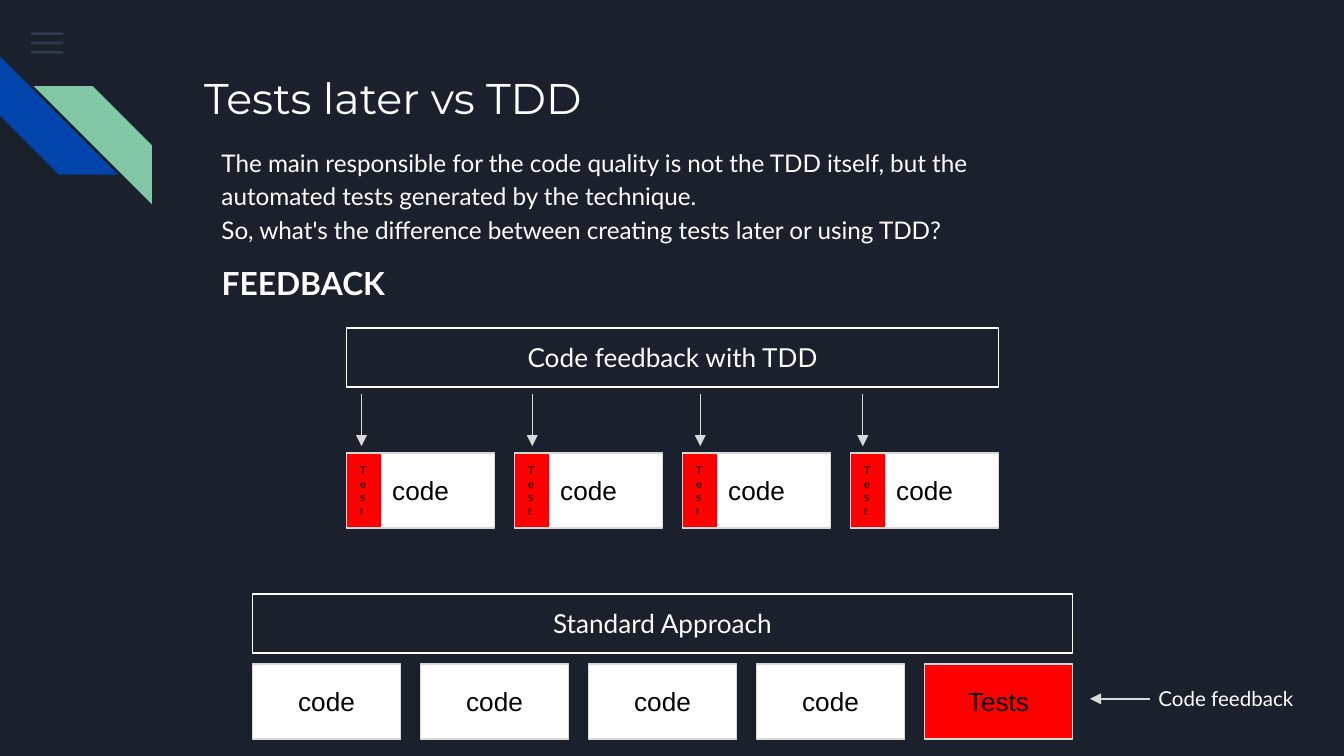
from lxml.etree import SubElement
from pptx import Presentation
from pptx.dml.color import RGBColor
from pptx.enum.shapes import MSO_CONNECTOR, MSO_SHAPE
from pptx.enum.text import MSO_ANCHOR, PP_ALIGN
from pptx.oxml.ns import qn
from pptx.util import Inches, Pt


class Theme:
    back = RGBColor.from_string("1B212C")
    white = RGBColor.from_string("FFFFFF")
    black = RGBColor.from_string("000000")
    red = RGBColor.from_string("FF0000")
    gray = RGBColor.from_string("D9D9D9")
    slate = RGBColor.from_string("55688B")
    blue = RGBColor.from_string("0145AC")
    green = RGBColor.from_string("82C7A5")
    title, head, label, body, note, tiny = map(Pt, (23, 17, 14, 13, 11, 6))
    edge = Pt(0.75)


deck = Presentation()
deck.slide_width = Inches(10)
deck.slide_height = Inches(10) * 9 // 16
slide = deck.slides.add_slide(deck.slide_layouts[6])
slide.background.fill.solid()
slide.background.fill.fore_color.rgb = Theme.back
shapes = slide.shapes


def box(area, fill=None, line=None, text="", size=Theme.label, font="Lato",
        color=Theme.white, align=PP_ALIGN.LEFT, anchor=MSO_ANCHOR.TOP,
        bold=False, space=1, kind=MSO_SHAPE.RECTANGLE):
    area = [Inches(n) for n in area]
    if fill or line:
        item = shapes.add_shape(kind, *area)
        item.shadow.inherit = False
        if fill:
            item.fill.solid()
            item.fill.fore_color.rgb = fill
        else:
            item.fill.background()
        if line:
            item.line.color.rgb = line
            item.line.width = Theme.edge
        else:
            item.line.fill.background()
    else:
        item = shapes.add_textbox(*area)
    if text:
        frame = item.text_frame
        frame.word_wrap = True
        frame.vertical_anchor = anchor
        frame.margin_left = frame.margin_right = Inches(0.1)
        frame.margin_top = frame.margin_bottom = Inches(0.1)
        frame.text = text
        para = frame.paragraphs[0]
        para.alignment = align
        para.line_spacing = space
        para.font.name = font
        para.font.size = size
        para.font.bold = bold
        para.font.color.rgb = color
    return item


def arrow(*ends):
    item = shapes.add_connector(MSO_CONNECTOR.STRAIGHT, *[Inches(n) for n in ends])
    item.line.color.rgb = Theme.gray
    item.line.width = Theme.edge
    SubElement(item.line._get_or_add_ln(), qn("a:tailEnd"), type="triangle")
    SubElement(item._element.spPr, qn("a:effectLst"))


for row in range(3):
    bar = box((0.23, 0.24 + 0.07 * row, 0.24, 0.02), Theme.slate)
    tint = bar._element.spPr.find(qn("a:solidFill"))[0]
    SubElement(tint, qn("a:alpha"), val="36000")

stripe = box((0, 0.42, 0.88, 0.88), Theme.blue, kind=MSO_SHAPE.DIAGONAL_STRIPE)
stripe.rotation = 270
stripe = box((0.25, 0.64, 0.88, 0.88), Theme.green, kind=MSO_SHAPE.DIAGONAL_STRIPE)
stripe._element.spPr.xfrm.set("flipH", "1")

box((1.42, 0.43, 7.86, 1), text="Tests later vs TDD",
    size=Theme.title, font="Montserrat")
box((1.55, 0.97, 6.43, 0.88), size=Theme.body, space=1.15,
    text="The main responsible for the code quality is not the TDD itself, "
         "but the automated tests generated by the technique. \v"
         "So, what's the difference between creating tests later or using TDD?")
box((1.55, 1.82, 4.41, 0.49), text="FEEDBACK", size=Theme.head,
    bold=True, space=1.15)

step, wide, high = 1.25, 1.1, 0.56
block = dict(line=Theme.gray, font="Arial", color=Theme.black,
             anchor=MSO_ANCHOR.MIDDLE)
center = PP_ALIGN.CENTER

box((2.58, 2.44, 4.85, 0.44), line=Theme.white,
    text="Code feedback with TDD", align=center)
for col, x in enumerate((2.69, 3.96, 5.21, 6.42)):
    left = 2.58 + step * col
    box((left, 3.37, wide, high), Theme.white, text="code", align=center, **block)
    box((left, 3.37, 0.26, high), Theme.red, text="Test", size=Theme.tiny, **block)
    arrow(x, 2.93, x, 3.32)

box((1.88, 4.42, 6.1, 0.44), line=Theme.white,
    text="Standard Approach", align=center)
for col, word in enumerate(["code"] * 4 + ["Tests"]):
    fill = Theme.red if word == "Tests" else Theme.white
    box((1.88 + step * col, 4.94, wide, high), fill, text=word, align=center, **block)
box((8.52, 5.01, 1.28, 0.39), text="Code feedback", size=Theme.note)
arrow(8.56, 5.2, 8.11, 5.2)

deck.save("out.pptx")
